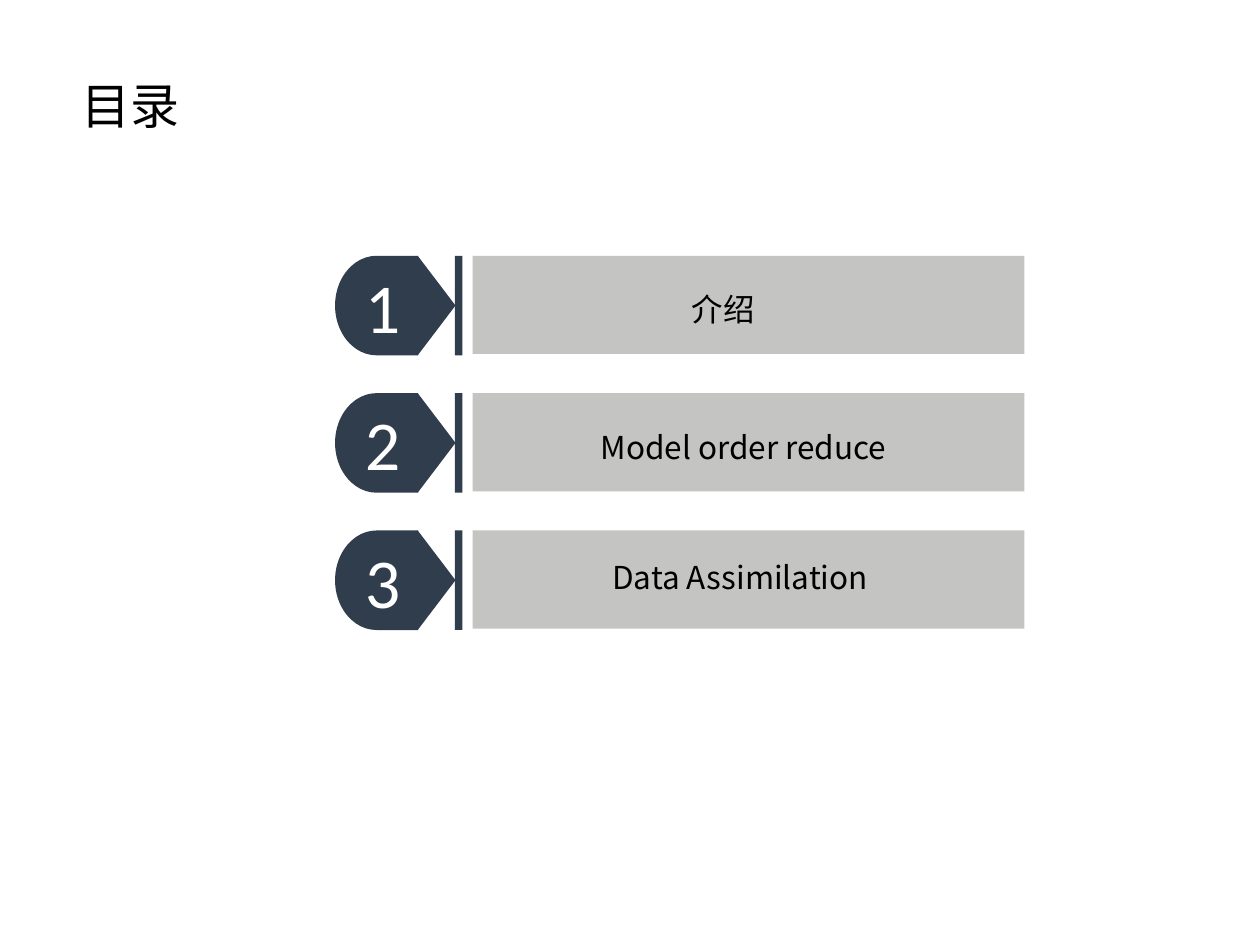
from collections import namedtuple

from lxml.etree import SubElement
from pptx import Presentation
from pptx.dml.color import RGBColor
from pptx.enum.shapes import MSO_SHAPE
from pptx.enum.text import MSO_ANCHOR, MSO_AUTO_SIZE, PP_ALIGN
from pptx.oxml.ns import qn
from pptx.util import Inches, Pt

SLIDE_WIDTH, SLIDE_HEIGHT = Inches(10), Inches(7.5)
COLUMN, ROW = SLIDE_WIDTH / 100, SLIDE_HEIGHT / 75
NAVY, GRAY, WHITE, BLACK = "303D4D", "C4C4C2", "FFFFFF", "000000"
LATIN_FONT, CHINESE_FONT = "Calibri", "Noto Sans CJK SC"

Box = namedtuple("Box", "left top width height")
Entry = namedtuple("Entry", "text label")

TITLE_BOX = Box(5.5, 5.5, 10.9, 5.7)
FIRST_ENTRY_BOX = Box(26.6, 20.3, 54.7, 7.9)
ENTRY_PITCH = 10.9
ENTRIES = [
    Entry("介绍", Box(27.3, 2.2, 7.1, 4)),
    Entry("Model order reduce", Box(20.1, 2.3, 26.1, 4)),
    Entry("Data Assimilation", Box(21, 1.7, 23.1, 4)),
]


def color(value):
    return RGBColor.from_string(value)


def inside(outer, left, top, width, height):
    return Box(outer.left + left, outer.top + top, width, height)


def to_lengths(box):
    return (
        round(box.left * COLUMN),
        round(box.top * ROW),
        round(box.width * COLUMN),
        round(box.height * ROW),
    )


def add_filled_shape(shapes, kind, box, fill):
    shape = shapes.add_shape(kind, *to_lengths(box))
    shape.shadow.inherit = False
    shape.fill.solid()
    shape.fill.fore_color.rgb = color(fill)
    shape.line.fill.background()
    return shape


def write_text(shape, text, size, font, fill, align=PP_ALIGN.LEFT, anchor=MSO_ANCHOR.TOP):
    shape.text_frame.vertical_anchor = anchor
    paragraph = shape.text_frame.paragraphs[0]
    paragraph.alignment = align
    run = paragraph.add_run()
    run.text = text
    run.font.size = Pt(size)
    run.font.name = font
    run.font.color.rgb = color(fill)
    SubElement(run.font._element, qn("a:ea")).set("typeface", font)


def add_label(slide, box, text, size, wrap=False):
    label = slide.shapes.add_textbox(*to_lengths(box))
    label.text_frame.word_wrap = wrap
    label.text_frame.auto_size = MSO_AUTO_SIZE.SHAPE_TO_FIT_TEXT
    write_text(label, text, size, CHINESE_FONT, BLACK)


def add_badge(slide, box, number):
    shapes = slide.shapes.add_group_shape().shapes
    add_filled_shape(shapes, MSO_SHAPE.RECTANGLE, inside(box, 9.5, 0, 0.6, box.height), NAVY)
    cap = add_filled_shape(
        shapes, MSO_SHAPE.FLOWCHART_DELAY, inside(box, 0, 0, 6.6, box.height), NAVY
    )
    cap._element.spPr.find(qn("a:xfrm")).set("flipH", "1")
    write_text(
        cap, str(number), 40, LATIN_FONT, WHITE, align=PP_ALIGN.CENTER, anchor=MSO_ANCHOR.MIDDLE
    )
    pointer = add_filled_shape(
        shapes, MSO_SHAPE.ISOSCELES_TRIANGLE, inside(box, 4.1, 2.45, box.height, 3), NAVY
    )
    pointer.rotation = 90


def add_entry(slide, box, number, entry):
    add_badge(slide, box, number)
    panel = inside(box, 10.9, 0, box.width - 10.9, 7.8)
    add_filled_shape(slide.shapes, MSO_SHAPE.RECTANGLE, panel, GRAY)
    add_label(slide, inside(box, *entry.label), entry.text, 18)


def add_contents(slide, first_box):
    for index, entry in enumerate(ENTRIES):
        box = inside(first_box, 0, index * ENTRY_PITCH, first_box.width, first_box.height)
        add_entry(slide, box, index + 1, entry)


def main():
    presentation = Presentation()
    presentation.slide_width, presentation.slide_height = SLIDE_WIDTH, SLIDE_HEIGHT
    slide = presentation.slides.add_slide(presentation.slide_layouts[6])
    add_contents(slide, FIRST_ENTRY_BOX)
    add_label(slide, TITLE_BOX, "目录", 28, wrap=True)
    presentation.save("out.pptx")


if __name__ == "__main__":
    main()
